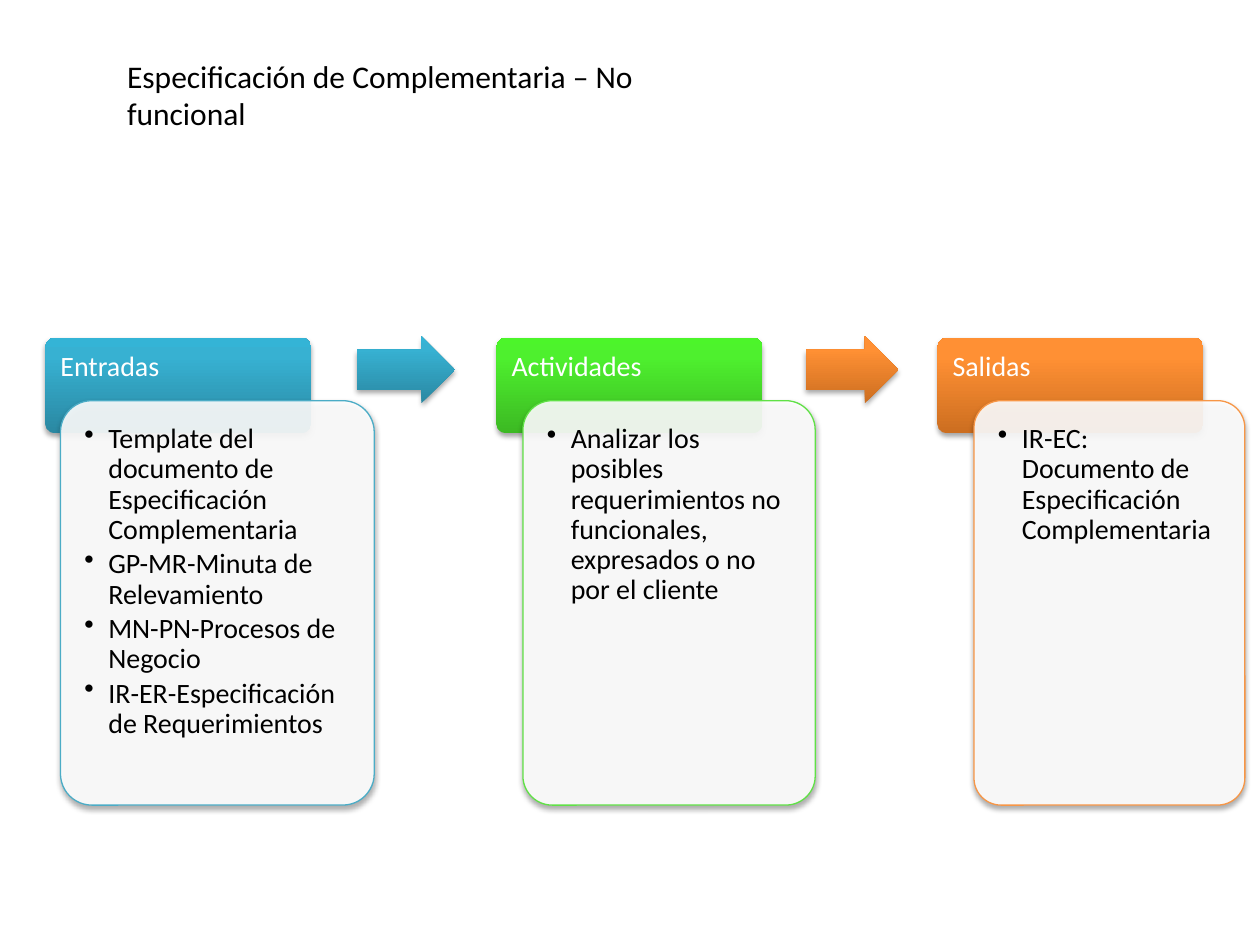
from dataclasses import dataclass
from typing import Optional

from lxml import etree
from pptx import Presentation
from pptx import util as u
from pptx.dml.color import RGBColor
from pptx.enum import shapes, text
from pptx.oxml import parse_xml
from pptx.oxml.ns import nsdecls, qn

COLORS = {"white": "FFFFFF", "black": "000000",
          "blue": "4BACC6", "green": "60E146", "orange": "F79646"}
GRADIENTS = {"blue": ("2A88A2", "37B1D2", "34B4D6"),
             "green": ("3CB923", "4EF02E", "4CF52A"),
             "orange": ("CC6E20", "FF9034", "FF9136")}
HEADER_TOP, HEADER_WIDTH, HEADER_HEIGHT, LABEL_HEIGHT = 2.68, 2.11, 0.76, 0.5
PANEL_TOP, PANEL_HEIGHT = 3.18, 3.21
ARROW_TOP, ARROW_HEIGHT = 2.67, 0.53
INSET, INDENT, PANEL_MARGIN = 0.12, 0.19, 0.07


@dataclass
class Box:
    left: float
    top: float
    width: float
    height: float

    def lengths(self) -> list:
        return [u.Inches(v) for v in (self.left, self.top, self.width, self.height)]


@dataclass
class Stage:
    title: str
    color: str
    left: float
    panel_left: float
    panel_width: float
    items: list[str]
    arrow: Optional[tuple[float, float]] = None  # left and width


STAGES = [
    Stage("Entradas", "blue", 0.36, 0.48, 2.49,
          ["Template del documento de Especificación Complementaria",
           "GP-MR-Minuta de Relevamiento",
           "MN-PN-Procesos de Negocio",
           "IR-ER-Especificación de Requerimientos"], (2.83, 0.78)),
    Stage("Actividades", "green", 3.94, 4.15, 2.32,
          ["Analizar los posibles requerimientos no funcionales, "
           "expresados o no por el cliente"]),
    Stage("Salidas", "orange", 7.44, 7.73, 2.15,
          ["IR-EC: Documento de Especificación Complementaria"], (6.4, 0.73)),
]


def add_shadow(shape) -> None:
    shape.shadow.inherit = False
    effects = shape._element.spPr.find(qn("a:effectLst"))
    effects.append(parse_xml(
        f'<a:outerShdw {nsdecls("a")} blurRad="{u.Pt(3.1)}" dist="{u.Pt(1.8)}" '
        'dir="5400000" rotWithShape="0"><a:srgbClr val="000000">'
        '<a:alpha val="35000"/></a:srgbClr></a:outerShdw>'))


def add_gradient_shape(slide, kind, box: Box, color: str, adjustments: list[float]) -> None:
    shape = slide.shapes.add_shape(kind, *box.lengths())
    for index, value in enumerate(adjustments):
        shape.adjustments[index] = value
    stops = "".join(f'<a:gs pos="{position}"><a:srgbClr val="{value}"/></a:gs>'
                    for position, value in zip((0, 80000, 100000), GRADIENTS[color]))
    shape._element.spPr.find(qn("a:prstGeom")).addnext(parse_xml(
        f'<a:gradFill {nsdecls("a")} rotWithShape="1"><a:gsLst>{stops}</a:gsLst>'
        '<a:lin ang="16200000" scaled="0"/></a:gradFill>'))
    shape.line.fill.background()
    add_shadow(shape)


def add_panel(slide, box: Box, color: str) -> None:
    panel = slide.shapes.add_shape(shapes.MSO_SHAPE.ROUNDED_RECTANGLE, *box.lengths())
    panel.adjustments[0] = 0.1
    panel.fill.solid()
    panel.fill.fore_color.rgb = RGBColor.from_string(COLORS["white"])
    fill_color = panel._element.spPr.find(qn("a:solidFill"))[0]
    etree.SubElement(fill_color, qn("a:alpha"), val="90000")
    panel.line.color.rgb = RGBColor.from_string(COLORS[color])
    panel.line.width = u.Pt(0.75)
    add_shadow(panel)


def add_text(slide, box: Box, lines: list[str], color: str, size: float = 16,
             inset: Optional[float] = INSET, spacing: float = 1.0,
             bullets: bool = False):
    frame = slide.shapes.add_textbox(*box.lengths()).text_frame
    frame.word_wrap = True
    frame.vertical_anchor = text.MSO_ANCHOR.TOP
    if inset is not None:
        frame.margin_left = frame.margin_right = u.Inches(inset)
        frame.margin_top = frame.margin_bottom = u.Inches(inset)
    frame.text = "\n".join(lines)
    for paragraph in frame.paragraphs:
        paragraph.line_spacing = spacing
        if bullets:
            paragraph.level = 1
            paragraph.space_after = u.Pt(2.4)
            properties = paragraph._p.get_or_add_pPr()
            properties.set("marL", str(u.Inches(INDENT)))
            properties.set("indent", str(-u.Inches(INDENT)))
            etree.SubElement(properties, qn("a:buChar"), char="•")
        for run in paragraph.runs:
            run.font.name = "Calibri"
            run.font.size = u.Pt(size)
            run.font.color.rgb = RGBColor.from_string(COLORS[color])
    return frame


def add_stage(slide, stage: Stage) -> None:
    # Coloured header with its label
    header = Box(stage.left, HEADER_TOP, HEADER_WIDTH, HEADER_HEIGHT)
    add_gradient_shape(slide, shapes.MSO_SHAPE.ROUNDED_RECTANGLE, header, stage.color, [0.1])
    label = Box(stage.left, HEADER_TOP, HEADER_WIDTH, LABEL_HEIGHT)
    label_frame = add_text(slide, label, [stage.title], "white", spacing=0.9)
    label_frame.margin_bottom = u.Inches(0.07)

    # Panel with its bullet list
    panel = Box(stage.panel_left, PANEL_TOP, stage.panel_width, PANEL_HEIGHT)
    add_panel(slide, panel, stage.color)
    content = Box(panel.left + PANEL_MARGIN, panel.top + PANEL_MARGIN,
                  panel.width - 2 * PANEL_MARGIN, panel.height - 2 * PANEL_MARGIN)
    add_text(slide, content, stage.items, "black", spacing=0.9, bullets=True)

    # Arrow between stages
    if stage.arrow:
        left, width = stage.arrow
        add_gradient_shape(slide, shapes.MSO_SHAPE.RIGHT_ARROW,
                           Box(left, ARROW_TOP, width, ARROW_HEIGHT),
                           stage.color, [0.6, 0.5])


presentation = Presentation()
presentation.slide_width, presentation.slide_height = u.Inches(10), u.Inches(7.5)
slide = presentation.slides.add_slide(presentation.slide_layouts[6])

for stage in STAGES:
    add_stage(slide, stage)

# Slide heading
add_text(slide, Box(0.91, 0.4, 4.25, 1.01),
         ["Especificación de Complementaria – No funcional"], "black", size=18, inset=None)

presentation.save("out.pptx")
